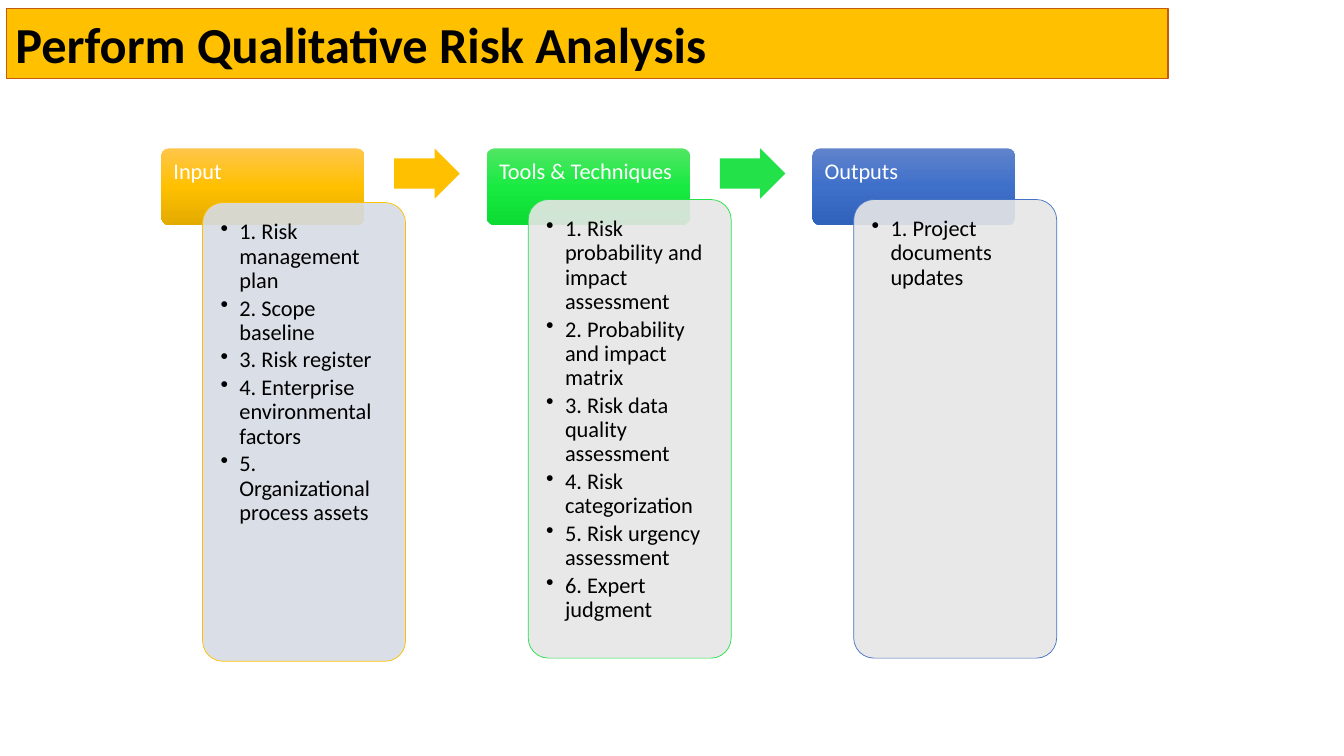
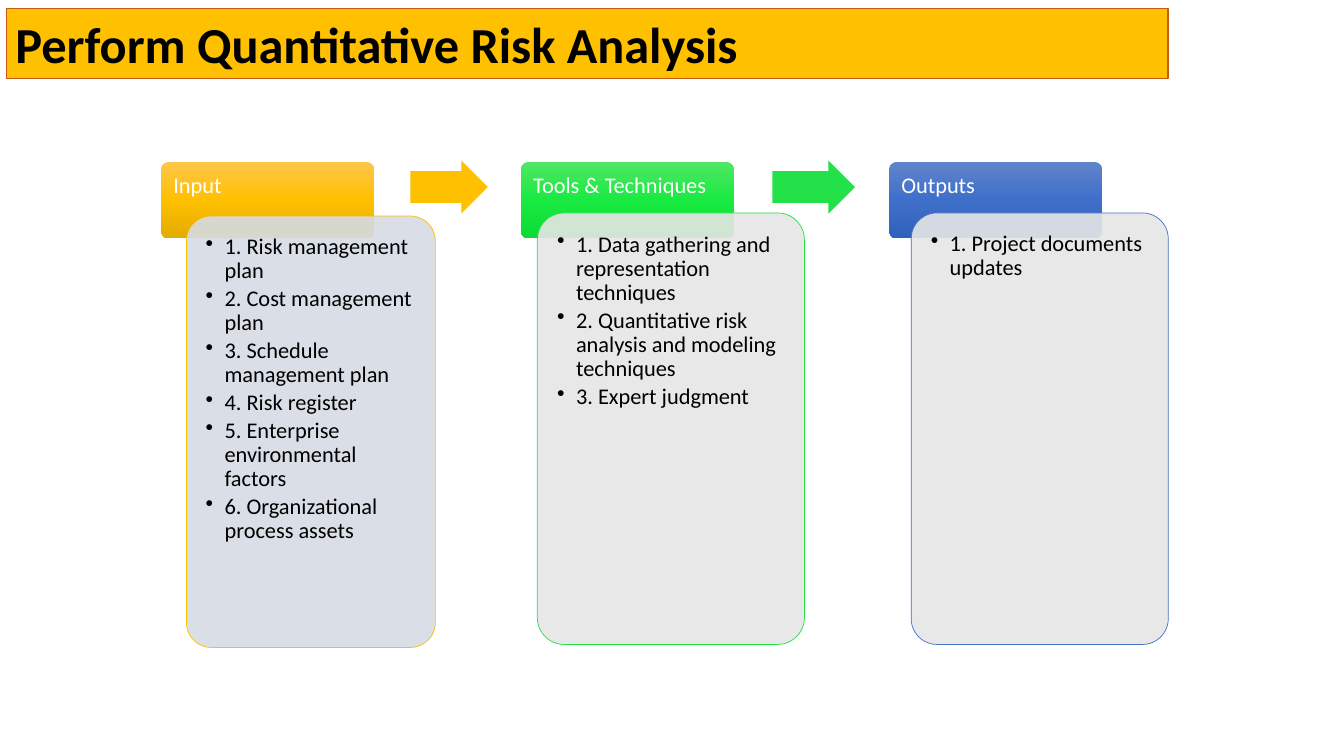
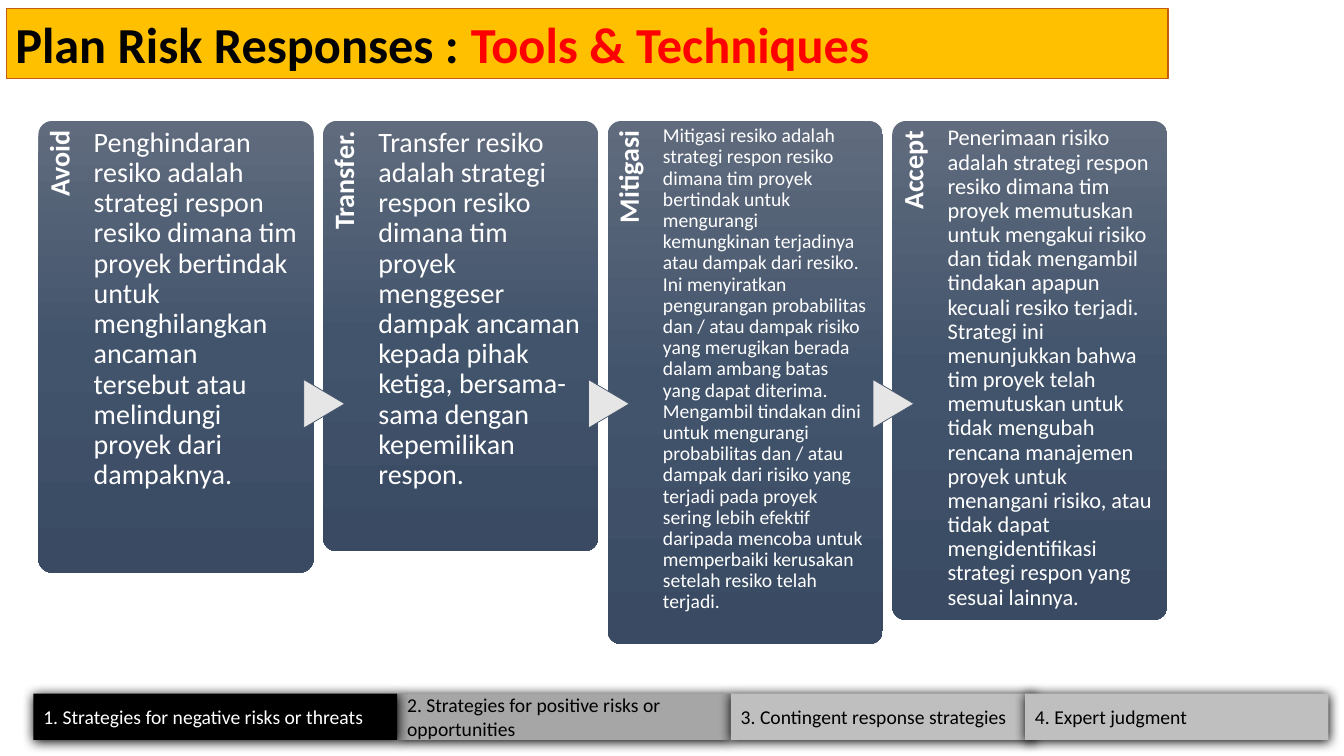
from copy import deepcopy
from pptx import Presentation
from pptx.dml.color import RGBColor
from pptx.enum.shapes import MSO_SHAPE as SHAPE
from pptx.enum.text import MSO_ANCHOR as ANCHOR, MSO_AUTO_SIZE as AUTOSIZE, PP_ALIGN as ALIGN
from pptx.oxml import parse_xml
from pptx.oxml.ns import nsdecls, qn
from pptx.util import Pt

FONT = "Calibri"
BLACK, WHITE, RED = "000000", "FFFFFF", "FF0000"
GOLD, BAND_LINE = "FFC000", "C55A11"
SLATE = ("606B7D", "42546C", "394A62")

STAGES = [
    ("Input", ("FFC64B", "FFC000", "E3AB00"), "D6DCE5", GOLD, 2.2),
    ("Tools & Techniques", ("51E663", "19EA42", "0CDB34"), "E7E6E6", "23E148", 0),
    ("Outputs", ("6183CB", "3E70CA", "3062BB"), "E7E6E6", "4472C4", 0),
]

PROCESSES = [
    {
        "title": "Perform Qualitative Risk Analysis",
        "lists": [
            ["1. Risk management plan", "2. Scope baseline", "3. Risk register",
             "4. Enterprise environmental factors", "5. Organizational process assets"],
            ["1. Risk probability and impact assessment", "2. Probability and impact matrix",
             "3. Risk data quality assessment", "4. Risk categorization",
             "5. Risk urgency assessment", "6. Expert judgment"],
            ["1. Project documents updates"],
        ],
        "top": 106, "header_w": 145, "panel_h": 327.6,
        "headers": [115.2, 347.8, 580.3],
        "panels": [(144.7, 145), (377.3, 145), (609.8, 145)],
        "arrows": [(281.6, 46.8), (514.2, 46.8)], "arrow_h": 36,
    },
    {
        "title": "Perform Quantitative Risk Analysis",
        "lists": [
            ["1. Risk management plan", "2. Cost management plan", "3. Schedule management plan",
             "4. Risk register", "5. Enterprise environmental factors",
             "6. Organizational process assets"],
            ["1. Data gathering and representation techniques",
             "2. Quantitative risk analysis and modeling techniques", "3. Expert judgment"],
            ["1. Project documents updates"],
        ],
        "top": 115.6, "header_w": 152, "panel_h": 308.2,
        "headers": [115.2, 372.2, 635.2],
        "panels": [(133.2, 177.8), (383.8, 190.8), (650.9, 183.6)],
        "arrows": [(293.2, 55.4), (551.7, 59)], "arrow_h": 38,
    },
]

RESPONSES = [
    ("Avoid", 322.6, 20,
     "Penghindaran resiko adalah strategi respon resiko dimana tim proyek bertindak untuk "
     "menghilangkan ancaman tersebut atau melindungi proyek dari dampaknya."),
    ("Transfer.", 307.4, 20,
     "Transfer resiko adalah strategi respon resiko dimana tim proyek menggeser dampak ancaman "
     "kepada pihak ketiga, bersama-sama dengan kepemilikan respon."),
    ("Mitigasi", 373.7, 14,
     "Mitigasi resiko adalah strategi respon resiko dimana tim proyek bertindak untuk mengurangi "
     "kemungkinan terjadinya atau dampak dari resiko. Ini menyiratkan pengurangan probabilitas "
     "dan / atau dampak risiko yang merugikan berada dalam ambang batas yang dapat diterima. "
     "Mengambil tindakan dini untuk mengurangi probabilitas dan / atau dampak dari risiko yang "
     "terjadi pada proyek sering lebih efektif daripada mencoba untuk memperbaiki kerusakan "
     "setelah resiko telah terjadi."),
    ("Accept", 356.4, 16,
     "Penerimaan risiko adalah strategi respon resiko dimana tim proyek memutuskan untuk mengakui "
     "risiko dan tidak mengambil tindakan apapun kecuali resiko terjadi. Strategi ini menunjukkan "
     "bahwa tim proyek telah memutuskan untuk tidak mengubah rencana manajemen proyek untuk "
     "menangani risiko, atau tidak dapat mengidentifikasi strategi respon yang sesuai lainnya."),
]

STRATEGIES = [
    ("2. Strategies for positive risks or opportunities", 283.7, 238.3, "A6A6A6", BLACK),
    ("3. Contingent response strategies", 522, 216.7, "BFBFBF", BLACK),
    ("1. Strategies for negative risks or threats", 23.8, 259.9, BLACK, WHITE),
    ("4. Expert judgment", 732.2, 216.7, "BFBFBF", BLACK),
]


def rgb(color):
    return RGBColor.from_string(color)


def paint(sp, fill, line=None, weight=0.5):
    if isinstance(fill, tuple):
        sp.fill.gradient()
        sp.fill.gradient_angle = 270
        stops = sp._element.spPr.find(".//" + qn("a:gsLst"))
        stops.insert(1, deepcopy(stops[0]))
        for stop, pos, color in zip(sp.fill.gradient_stops, (0, 0.5, 1), fill):
            stop.position = pos
            stop.color.rgb = rgb(color)
    else:
        sp.fill.solid()
        sp.fill.fore_color.rgb = rgb(fill)
    if line:
        sp.line.color.rgb = rgb(line)
        sp.line.width = Pt(weight)
    else:
        sp.line.fill.background()


def add_shape(s, kind, box, fill, line=None, adj=()):
    sp = s.shapes.add_shape(kind, *map(Pt, box))
    sp.shadow.inherit = False
    for i, value in enumerate(adj):
        sp.adjustments[i] = value
    paint(sp, fill, line)
    return sp


def frame(sp, margins, anchor=ANCHOR.TOP):
    tf = sp.text_frame
    tf.word_wrap = True
    tf.auto_size = AUTOSIZE.NONE
    tf.vertical_anchor = anchor
    tf.margin_left, tf.margin_top, tf.margin_right, tf.margin_bottom = map(Pt, margins)
    return tf


def write(p, runs, size, bold=False, align=ALIGN.LEFT, spacing=None):
    p.alignment = align
    p.line_spacing = spacing
    for text, color in runs:
        r = p.add_run()
        r.text = text
        r.font.name = FONT
        r.font.size = Pt(size)
        r.font.bold = bold
        r.font.color.rgb = rgb(color)


def write_list(tf, items):
    for i, item in enumerate(items):
        p = tf.add_paragraph() if i else tf.paragraphs[0]
        pPr = p._p.get_or_add_pPr()
        pPr.set("marL", str(Pt(13.5)))
        pPr.set("indent", str(-Pt(13.5)))
        pPr.append(parse_xml(f'<a:buChar {nsdecls("a")} char="•"/>'))
        p.space_after = Pt(2.6)
        write(p, [(item, BLACK)], 16, spacing=0.9)


def add_slide(prs, *title_runs):
    s = prs.slides.add_slide(prs.slide_layouts[5])
    title = s.shapes.title
    title.left, title.top, title.width, title.height = map(Pt, (4.3, 6, 830, 50.4))
    paint(title, GOLD, BAND_LINE, 0.75)
    tf = frame(title, (6.6, 3.6, 6.6, 3.6), ANCHOR.MIDDLE)
    write(tf.paragraphs[0], title_runs, 36, bold=True)
    return s


def add_process(prs, process):
    s = add_slide(prs, (process["title"], BLACK))
    top, arrow_h = process["top"], process["arrow_h"]
    columns = zip(STAGES, process["headers"], process["panels"], process["lists"])
    for i, ((name, shades, tint, accent, drop), x, (panel_x, panel_w), items) in enumerate(columns):
        header = add_shape(s, SHAPE.ROUNDED_RECTANGLE, (x, top, process["header_w"], 54.7),
                           shades, adj=[0.1])
        tf = frame(header, (7.2, 7.2, 7.2, 5))
        write(tf.paragraphs[0], [(name, WHITE)], 16, spacing=0.9)

        panel = add_shape(s, SHAPE.ROUNDED_RECTANGLE,
                          (panel_x, top + 36.5 + drop, panel_w, process["panel_h"]),
                          tint, accent, [0.1])
        color = panel._element.spPr.find(qn("a:solidFill"))[0]
        color.append(parse_xml(f'<a:alpha {nsdecls("a")} val="90000"/>'))
        write_list(frame(panel, (8.6,) * 4), items)

        if i < len(process["arrows"]):
            arrow_x, arrow_w = process["arrows"][i]
            add_shape(s, SHAPE.RIGHT_ARROW, (arrow_x, top + 18 - arrow_h / 2, arrow_w, arrow_h),
                      accent, adj=[0.6, 0.5])


def add_responses(prs):
    s = add_slide(prs, ("Plan Risk Responses : ", BLACK), ("Tools & Techniques", RED))
    for text, x, w, fill, color in STRATEGIES:
        tab = add_shape(s, SHAPE.RECTANGLE, (x, 495.4, w, 33.1), fill)
        effects = tab._element.spPr.find(qn("a:effectLst"))
        effects.append(parse_xml(
            f'<a:outerShdw {nsdecls("a")} blurRad="{Pt(8.5)}" dist="{Pt(1)}" dir="5400000">'
            f'<a:srgbClr val="{BLACK}"/></a:outerShdw>'))
        tf = frame(tab, (7.2, 3.6, 7.2, 3.6), ANCHOR.MIDDLE)
        write(tf.paragraphs[0], [(text, color)], 14)

    top, card_w, pitch, strip, corner = 86.4, 196.6, 203.3, 39.6, 2.9
    for i, (name, h, size, text) in enumerate(RESPONSES):
        x = 27.4 + i * pitch
        card = add_shape(s, SHAPE.ROUNDED_RECTANGLE, (x, top, card_w, h), SLATE, adj=[0.05])
        tf = frame(card, (strip - corner, size / 4 - corner, 7.9, 0))
        write(tf.paragraphs[0], [(text, WHITE)], size, spacing=0.9)

        length = h * 0.82
        label = s.shapes.add_textbox(Pt(x + (strip - length) / 2), Pt(top + (length - strip) / 2),
                                     Pt(length), Pt(strip))
        label.rotation = 270
        tf = frame(label, (0, 5, 6.9, 0))
        write(tf.paragraphs[0], [(name, WHITE)], 20, bold=True, align=ALIGN.RIGHT, spacing=0.9)

        if i:
            pointer = add_shape(s, SHAPE.FLOWCHART_EXTRACT, (x + 0.9 - 17.3, 273.8, 34.6, 29.2),
                                "E7E6E6", "44546A")
            pointer.rotation = 90


def main():
    prs = Presentation()
    prs.slide_width, prs.slide_height = Pt(960), Pt(540)
    for process in PROCESSES:
        add_process(prs, process)
    add_responses(prs)
    prs.save("out.pptx")


if __name__ == "__main__":
    main()
